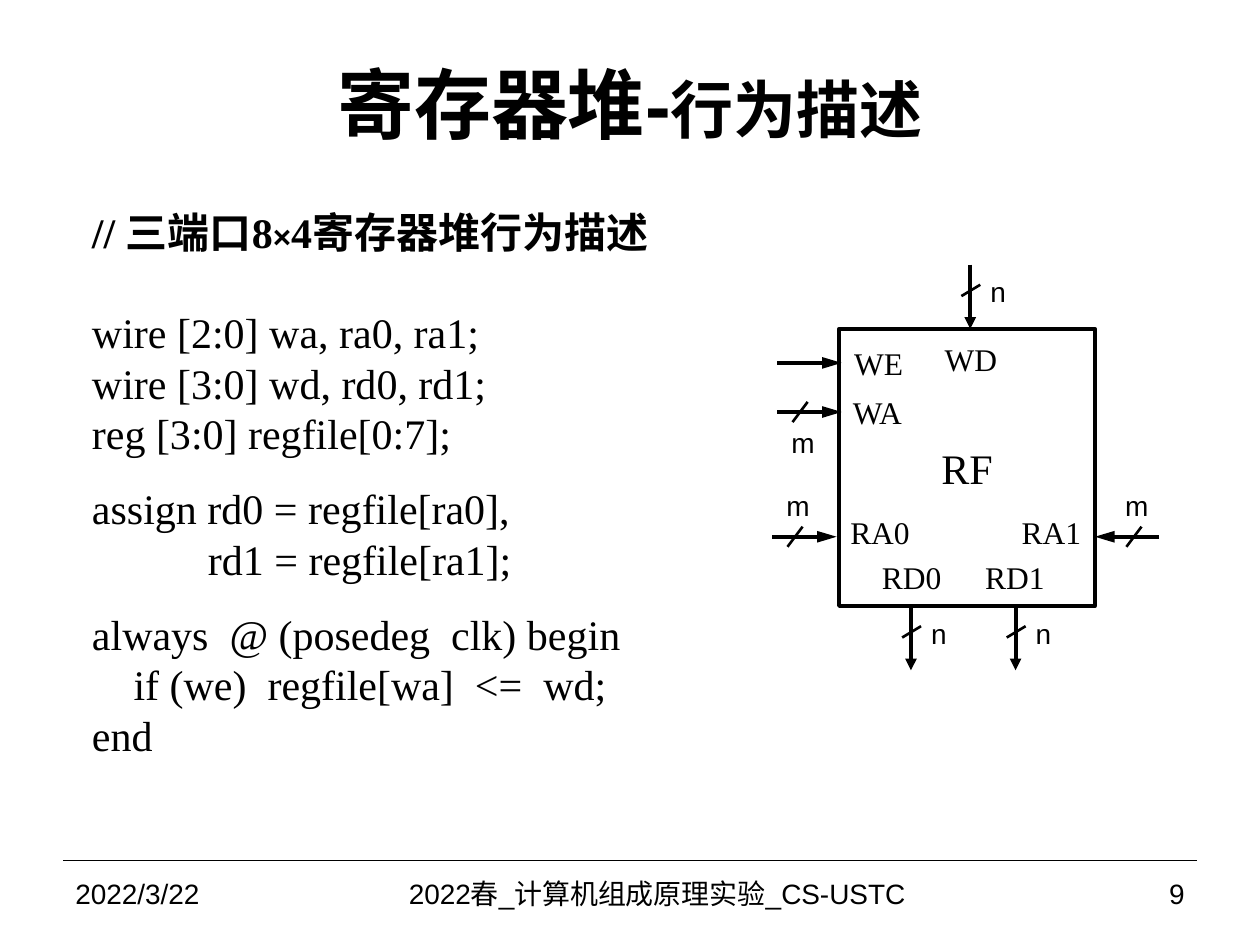
from lxml import etree
from pptx import Presentation
from pptx.dml.color import RGBColor
from pptx.enum import shapes, text
from pptx.oxml.ns import qn
from pptx.util import Inches, Pt

COLORS = {"ink": "000000"}
INK = RGBColor.from_string(COLORS["ink"])
SERIF, SANS = "Times New Roman", "Arial"
LEFT, MID, RIGHT = text.PP_ALIGN.LEFT, text.PP_ALIGN.CENTER, text.PP_ALIGN.RIGHT

TITLE = [("寄存器堆-", 44, SANS), ("行为描述", 36, SANS)]
HEAD = [("// 三端口8", 24, SERIF), ("×", 18, SANS), ("4寄存器堆行为描述", 24, SERIF)]
# text, indent in inches, space before in points
CODE = [
    ("wire [2:0] wa, ra0, ra1;", 0, 28.7),
    ("wire [3:0] wd, rd0, rd1;", 0, 0),
    ("reg [3:0] regfile[0:7];", 0, 0),
    ("assign rd0 = regfile[ra0],", 0, 14.5),
    ("rd1 = regfile[ra1];", 0.92, 0),
    ("always  @ (posedeg  clk) begin", 0, 14.5),
    ("if (we)  regfile[wa]  <=  wd;", 0.33, 0),
    ("end", 0, 0),
]
# name, left, top, width, alignment; widths leave room for one line
PORTS = [
    ("RD0", 6.85, 4.38, 0.77, MID), ("RD1", 7.67, 4.38, 0.77, MID),
    ("WD", 7.35, 2.65, 0.71, MID), ("WA", 6.67, 3.07, 0.71, LEFT),
    ("RA0", 6.65, 4.02, 0.77, LEFT), ("RA1", 7.91, 4.02, 0.77, RIGHT),
    ("WE", 6.68, 2.68, 0.71, LEFT),
]
REACH = 0.51
DOWN = [(7.7, 2.1), (7.23, 4.81), (8.06, 4.81)]  # n-bit buses: x, top
# start x, y, direction, slash centre, label offset from y
SIDE = [
    (6.17, 2.88, 1, None, None),
    (6.17, 3.27, 1, 6.35, 0.14),
    (6.13, 4.26, 1, 6.31, -0.35),
    (9.2, 4.26, -1, 9.0, -0.35),
]
FOOT = [
    ("2022/3/22", 0.5, 2.33, LEFT),
    ("2022春_计算机组成原理实验_CS-USTC", 2.8, 4.83, MID),
    ("9", 7.67, 1.83, RIGHT),
]

deck = Presentation()
deck.slide_width, deck.slide_height = Inches(10), Inches(7.5)
slide = deck.slides.add_slide(deck.slide_layouts[1])
parts = slide.shapes


def place(shape, *box):
    shape.left, shape.top, shape.width, shape.height = map(Inches, box)


def style(font, size, face, bold=False):
    font.size, font.name, font.bold = Pt(size), face, bold
    font.color.rgb = INK


def fill(para, runs):
    """Add bold runs of mixed size and face."""
    for words, size, face in runs:
        run = para.add_run()
        run.text = words
        style(run.font, size, face, True)


def label(words, box, size, face, align=LEFT, inset=True, wrap=False):
    shape = parts.add_textbox(*map(Inches, box))
    frame = shape.text_frame
    frame.word_wrap = wrap
    if not inset:
        frame.margin_left = frame.margin_right = 0
        frame.margin_top = frame.margin_bottom = 0
    para = frame.paragraphs[0]
    para.text, para.alignment = words, align
    style(para.font, size, face)
    return frame


def line(x1, y1, x2, y2, width, head=None):
    """Draw a line; head is the arrowhead length, med or lg."""
    wire = parts.add_connector(
        shapes.MSO_CONNECTOR.STRAIGHT, *map(Inches, (x1, y1, x2, y2)))
    wire.line.width = Pt(width)
    wire.line.color.rgb = INK
    if head:
        stroke = wire._element.spPr.find(qn("a:ln"))
        etree.SubElement(stroke, qn("a:tailEnd"), type="triangle", len=head)
    etree.SubElement(wire._element.spPr, qn("a:effectLst"))


def bits(words, x, y, width):
    frame = label(words, (x, y, width, 0.24), 16, SANS, inset=False)
    frame.paragraphs[0].line_spacing = 0.9


# Title and code
title, body = slide.placeholders
place(title, 0.5, 0.19, 9, 1.25)
title.text_frame.vertical_anchor = text.MSO_ANCHOR.MIDDLE
title.text_frame.paragraphs[0].alignment = MID
fill(title.text_frame.paragraphs[0], TITLE)

place(body, 0.63, 1.59, 4.76, 5.31)
frame = body.text_frame
frame.auto_size = text.MSO_AUTO_SIZE.NONE
fill(frame.paragraphs[0], HEAD)
for words, _, _ in CODE:
    para = frame.add_paragraph()
    para.text = words
    style(para.font, 24, SERIF)
layout = [(0, 0)] + [row[1:] for row in CODE]
for para, (indent, before) in zip(frame.paragraphs, layout):
    para.line_spacing, para.space_before = Pt(28.7), Pt(before)
    props = para._p.get_or_add_pPr()
    props.set("marL", str(Inches(indent)))
    props.set("indent", "0")
    bullet = etree.Element(qn("a:buNone"))
    props.find(qn("a:spcBef")).addnext(bullet)

# Register file block
block = parts.add_shape(
    shapes.MSO_SHAPE.RECTANGLE, *map(Inches, (6.66, 2.61, 2.03, 2.2)))
block.shadow.inherit = False
block.fill.background()
block.line.color.rgb, block.line.width = INK, Pt(2.25)
block.text_frame.vertical_anchor = text.MSO_ANCHOR.MIDDLE
para = block.text_frame.paragraphs[0]
para.text, para.alignment = "RF", MID
style(para.font, 24, SERIF)

for name, x, y, width, align in PORTS:
    label(name, (x, y, width, 0.4), 18, SERIF, align)

for x, y in DOWN:
    line(x, y, x, y + REACH, 2.25, "med")
    line(x + 0.08, y + 0.16, x - 0.07, y + 0.25, 1.5)
    bits("n", x + 0.16, y + 0.11, 0.12)

for x, y, way, slash, drop in SIDE:
    line(x, y, x + way * REACH, y, 2.25, "lg")
    if slash:
        line(slash + 0.06, y - 0.08, slash - 0.06, y + 0.08, 1.5)
        bits("m", slash - 0.07, y + drop, 0.19)

# Footer
line(0.5, 6.83, 9.5, 6.83, 0.75)
for words, x, width, align in FOOT:
    foot = label(words, (x, 6.83, width, 0.52), 16, SANS, align, wrap=True)
    foot.vertical_anchor = text.MSO_ANCHOR.MIDDLE

deck.save("out.pptx")
